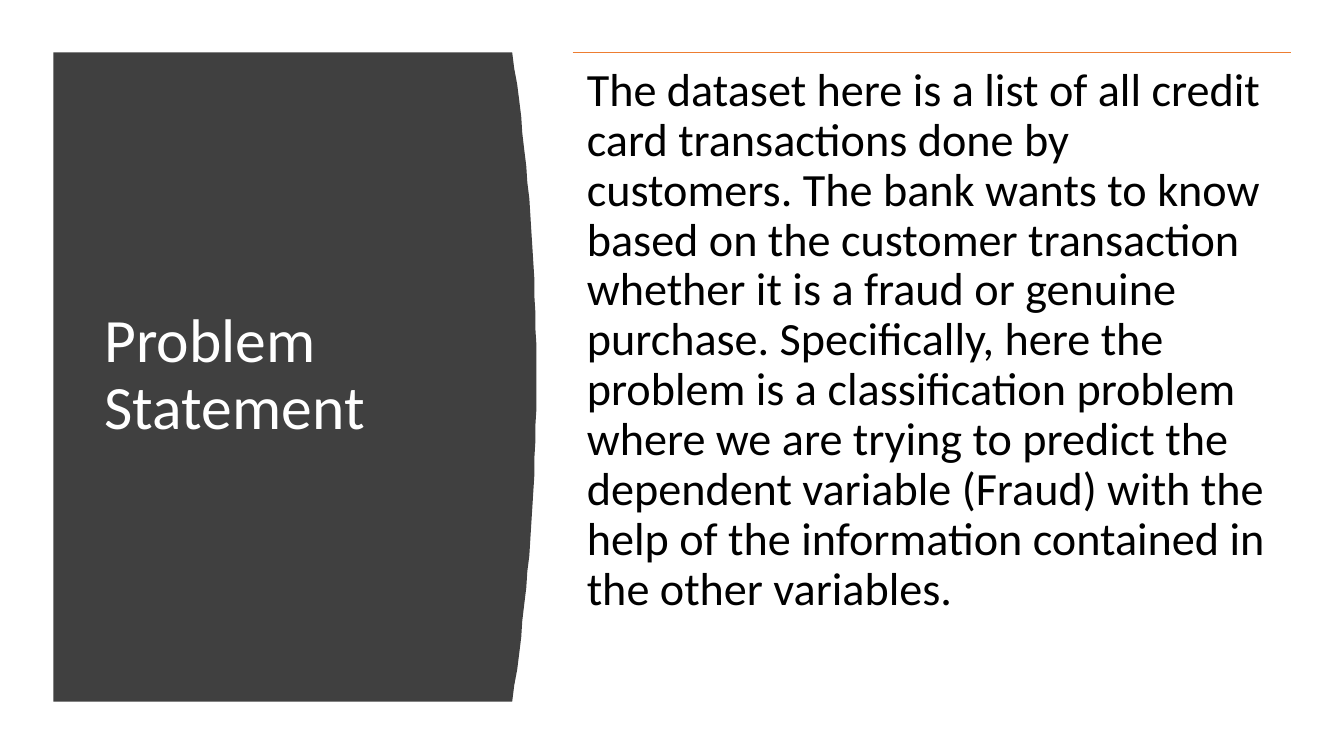
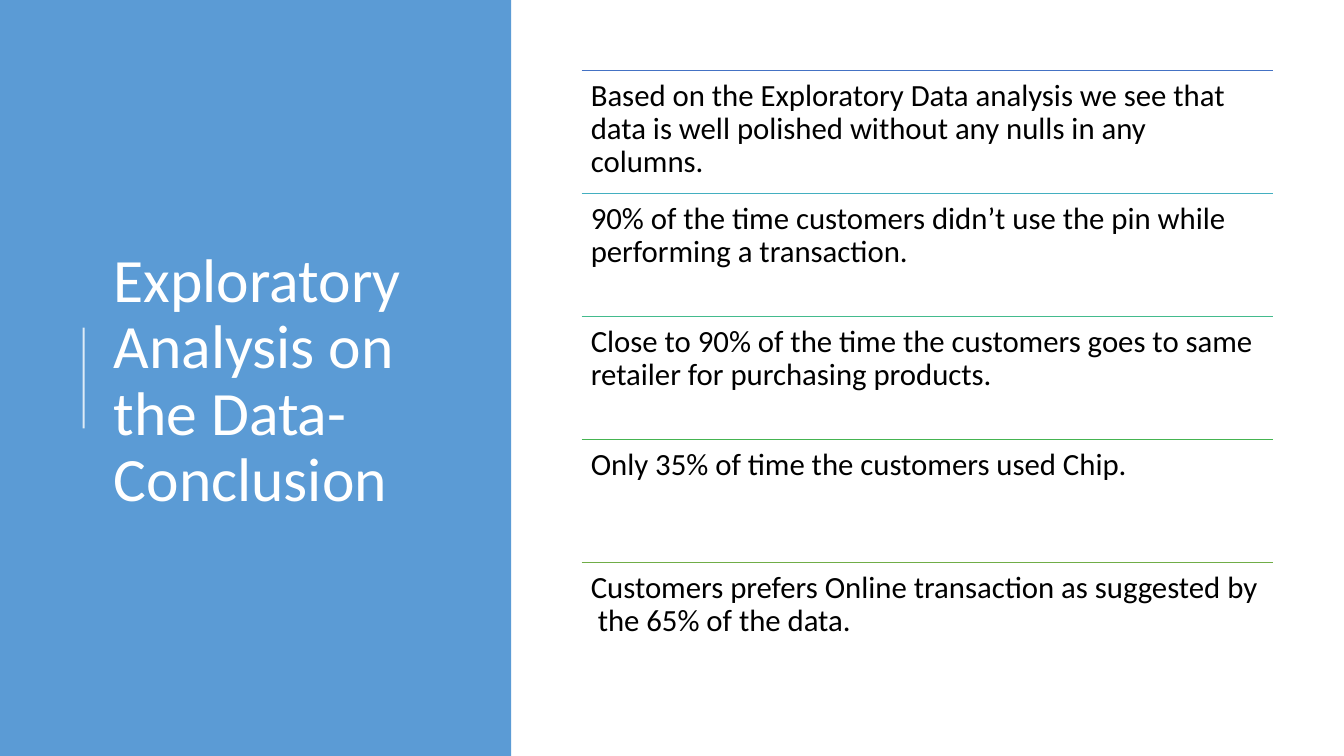
from dataclasses import dataclass

from lxml.etree import SubElement
from pptx import Presentation
from pptx.dml.color import RGBColor
from pptx.enum.shapes import MSO_CONNECTOR as Link, MSO_SHAPE as Preset
from pptx.enum.text import MSO_ANCHOR as Anchor
from pptx.oxml.ns import qn
from pptx.util import Emu, Pt

PX = 9144  # 100 px to the inch
WIDTH, HEIGHT = 1333, 750
FONT = "Calibri"
WHITE = RGBColor(0xFF, 0xFF, 0xFF)
BLACK = RGBColor(0x00, 0x00, 0x00)
DARK = RGBColor(0x40, 0x40, 0x40)
BLUE = RGBColor(0x5B, 0x9B, 0xD5)
ORANGE = RGBColor(0xED, 0x7D, 0x31)


@dataclass(frozen=True)
class Box:
    left: int
    top: int
    width: int
    height: int


@dataclass(frozen=True)
class Item:
    text: str
    color: RGBColor


PROBLEM = Item(
    "The dataset here is a list of all credit card transactions done by customers. "
    "The bank wants to know based on the customer transaction whether it is a fraud "
    "or genuine purchase. Specifically, here the problem is a classification problem "
    "where we are trying to predict the dependent variable (Fraud) with the help of "
    "the information contained in the other variables.",
    ORANGE,
)
FINDINGS = [
    Item("Based on the Exploratory Data analysis we see that data is well polished "
         "without any nulls in any columns.", RGBColor(0x44, 0x72, 0xC4)),
    Item("90% of the time customers didn’t use the pin while performing a transaction.",
         RGBColor(0x43, 0xAF, 0xC0)),
    Item("Close to 90% of the time the customers goes to same retailer for "
         "purchasing products.", RGBColor(0x43, 0xBB, 0x8D)),
    Item("Only 35% of time the customers used Chip.", RGBColor(0x45, 0xB4, 0x51)),
    Item("Customers prefers Online transaction as suggested by  the 65% of the data.",
         RGBColor(0x70, 0xAD, 0x47)),
]


def px(value: float) -> Emu:
    return Emu(round(value * PX))


def add_text(slide, box: Box, text: str, *, size: int, color: RGBColor = BLACK,
             anchor: Anchor = Anchor.TOP, pad: tuple[int, int] = (10, 5)) -> None:
    """Add wrapped text; pad holds the side and the top and bottom insets."""
    shape = slide.shapes.add_textbox(
        px(box.left), px(box.top), px(box.width), px(box.height))
    frame = shape.text_frame
    frame.word_wrap = True
    frame.vertical_anchor = anchor
    frame.margin_left = frame.margin_right = px(pad[0])
    frame.margin_top = frame.margin_bottom = px(pad[1])
    para = frame.paragraphs[0]
    para.line_spacing = 0.9
    run = para.add_run()
    run.text = text
    run.font.name = FONT
    run.font.size = Pt(size)
    run.font.color.rgb = color


def add_title(slide, box: Box, text: str) -> None:
    add_text(slide, box, text, size=44, color=WHITE, anchor=Anchor.MIDDLE)


def add_line(slide, start: tuple[int, int], end: tuple[int, int], color: RGBColor,
             width: float = 1, opacity: int = 100) -> None:
    line = slide.shapes.add_connector(
        Link.STRAIGHT, px(start[0]), px(start[1]), px(end[0]), px(end[1]))
    line.line.color.rgb = color
    line.line.width = Pt(width)
    props = line._element.spPr
    if opacity < 100:
        tint = props.find(".//" + qn("a:srgbClr"))
        SubElement(tint, qn("a:alpha"), val=str(opacity * 1000))
    SubElement(props, qn("a:effectLst"))


def add_list(slide, box: Box, items: list[Item], size: int, pad: int) -> None:
    """Share the box among equal rows, each with a coloured rule on top."""
    step = box.height // len(items)
    for row, item in enumerate(items):
        top = box.top + row * step
        add_line(slide, (box.left, top), (box.left + box.width, top), item.color)
        add_text(slide, Box(box.left, top, box.width, step), item.text,
                 size=size, pad=(pad, pad))


def paint(shape, color: RGBColor) -> None:
    shape.shadow.inherit = False
    shape.fill.solid()
    shape.fill.fore_color.rgb = color
    shape.line.fill.background()


def add_panel(slide, box: Box, bulge: int, color: RGBColor) -> None:
    """Draw a panel whose right edge bows outwards along a parabola."""
    steps = 40
    edge = box.left + box.width - bulge
    curve = []
    for step in range(steps + 1):
        part = step / steps
        bow = bulge * (1 - (2 * part - 1) ** 2)
        curve.append((edge + bow, box.top + box.height * part))
    form = slide.shapes.build_freeform(box.left, box.top, scale=PX)
    form.add_line_segments([*curve, (box.left, box.top + box.height)], close=True)
    paint(form.convert_to_shape(), color)


def build_problem(slide) -> None:
    add_panel(slide, Box(53, 52, 479, 644), 24, DARK)
    add_title(slide, Box(94, 111, 374, 524), "Problem Statement")
    add_list(slide, Box(568, 52, 712, 644), [PROBLEM], size=33, pad=14)


def build_findings(slide) -> None:
    band = slide.shapes.add_shape(Preset.RECTANGLE, 0, 0, px(507), px(HEIGHT))
    paint(band, BLUE)
    add_title(slide, Box(103, 78, 369, 602),
              "Exploratory Analysis on the Data- Conclusion")
    add_line(slide, (83, 425), (83, 325), WHITE, width=1.5, opacity=80)
    add_list(slide, Box(577, 70, 686, 610), FINDINGS, size=22, pad=9)


def main() -> None:
    deck = Presentation()
    deck.slide_width, deck.slide_height = px(WIDTH), px(HEIGHT)
    blank = deck.slide_layouts[6]
    for build in (build_problem, build_findings):
        build(deck.slides.add_slide(blank))
    deck.save("out.pptx")


if __name__ == "__main__":
    main()
